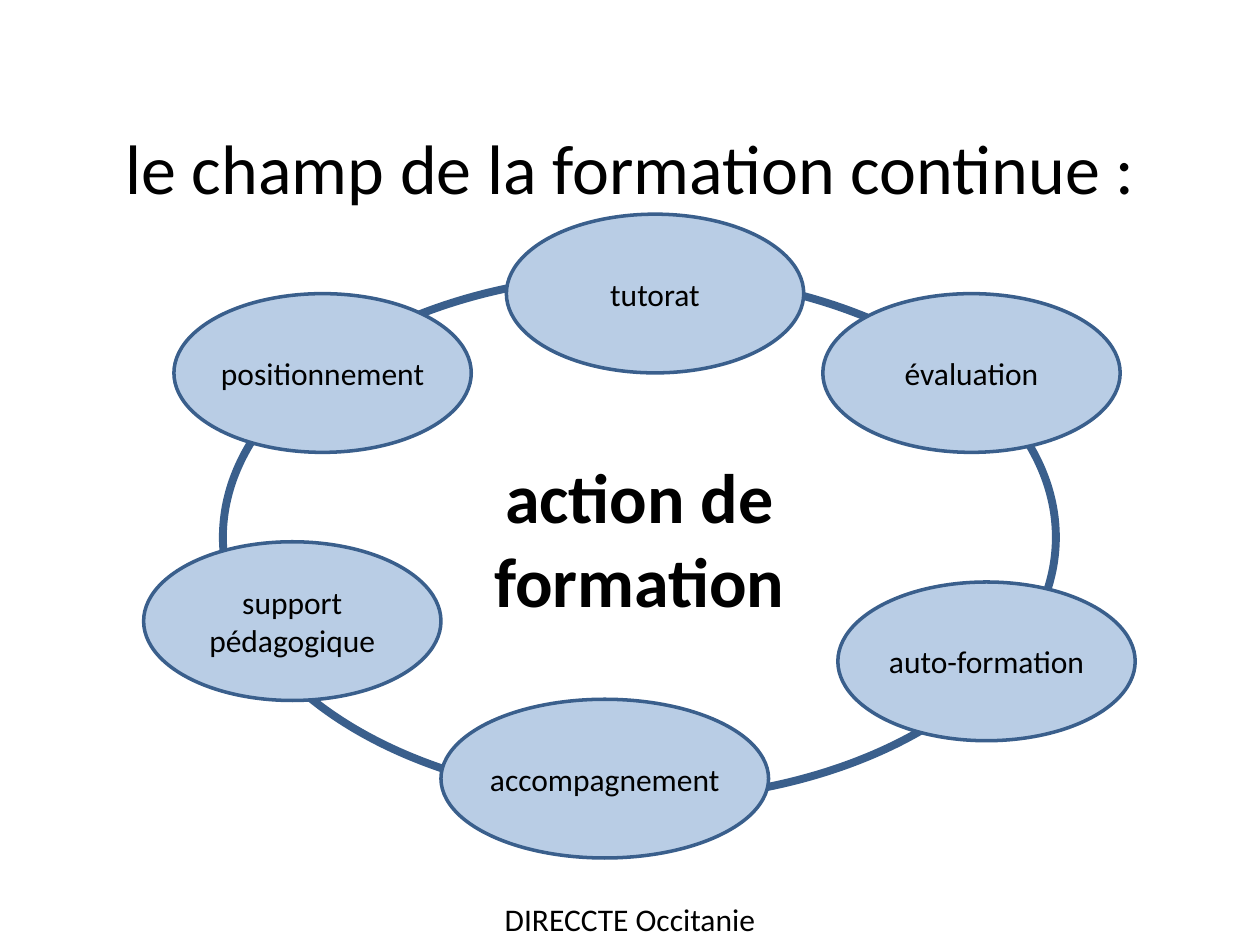
from dataclasses import dataclass

from pptx import Presentation
from pptx.dml.color import RGBColor as RGB
from pptx.enum.shapes import MSO_SHAPE as Shape
from pptx.enum.text import MSO_ANCHOR as Anchor, MSO_AUTO_SIZE as Fit, PP_ALIGN as Align
from pptx.util import Pt


@dataclass(frozen=True)
class Theme:
    font: str = "Calibri"
    ink: RGB = RGB(0, 0, 0)
    edge: RGB = RGB(0x3A, 0x5F, 0x8C)
    pale: RGB = RGB(0xB9, 0xCD, 0xE5)
    large: float = 40
    small: float = 18
    thick: float = 4.5
    thin: float = 2


THEME = Theme()
NODE_W, NODE_H = 169.9, 90.7

# Label, left and top from the ring's corner, width
NODES = [
    ("positionnement", -28, 10.8, NODE_W),
    ("évaluation", 342.8, 10.8, NODE_W),
    ("accompagnement", 124.6, 242.6, 187.2),
    ("support\npédagogique", -45.3, 152.6, NODE_W),
    ("tutorat", 162, -34.6, NODE_W),
    ("auto-formation", 351.4, 175.6, NODE_W),
]


def write(shape, text, size, bold=False, anchor=Anchor.MIDDLE):
    frame = shape.text_frame
    frame.text = text
    frame.word_wrap = True
    frame.auto_size = Fit.NONE
    frame.vertical_anchor = anchor
    for para in frame.paragraphs:
        para.alignment = Align.CENTER
        for run in para.runs:
            font = run.font
            font.name, font.size, font.bold = THEME.font, Pt(size), bold
            font.color.rgb = THEME.ink
    return frame


def add_oval(slide, box, width, fill=None):
    oval = slide.shapes.add_shape(Shape.OVAL, *map(Pt, box))
    oval.shadow.inherit = False
    if fill is None:
        oval.fill.background()
    else:
        oval.fill.solid()
        oval.fill.fore_color.rgb = fill
    oval.line.color.rgb = THEME.edge
    oval.line.width = Pt(width)
    return oval


def set_title(slide, box, text):
    title = slide.shapes.title
    title.left, title.top, title.width, title.height = map(Pt, box)
    write(title, text, THEME.large)


def add_foot(slide, box, text):
    foot = slide.shapes.add_textbox(*map(Pt, box))
    frame = write(foot, text, THEME.small, anchor=Anchor.TOP)
    frame.word_wrap = False


def add_cycle(slide, box, label, nodes):
    # Ring with the central theme
    ring = add_oval(slide, box, THEME.thick)
    write(ring, label, THEME.large, bold=True)

    # Topics around the ring
    left, top = box[:2]
    for text, dx, dy, width in nodes:
        node = add_oval(slide, (left + dx, top + dy, width, NODE_H),
                        THEME.thin, THEME.pale)
        frame = write(node, text, THEME.small)
        frame.margin_left = frame.margin_right = 0
        frame.margin_top = frame.margin_bottom = 0


def main():
    deck = Presentation()
    deck.slide_width, deck.slide_height = Pt(720), Pt(540)
    slide = deck.slides.add_slide(deck.slide_layouts[5])

    add_foot(slide, (278, 511, 164, 29), "DIRECCTE Occitanie")
    set_title(slide, (54, 37.4, 612, 116), "le champ de la formation continue :")
    add_cycle(slide, (127.4, 157, 476, 300), "action de\nformation", NODES)

    deck.save("out.pptx")


if __name__ == "__main__":
    main()
